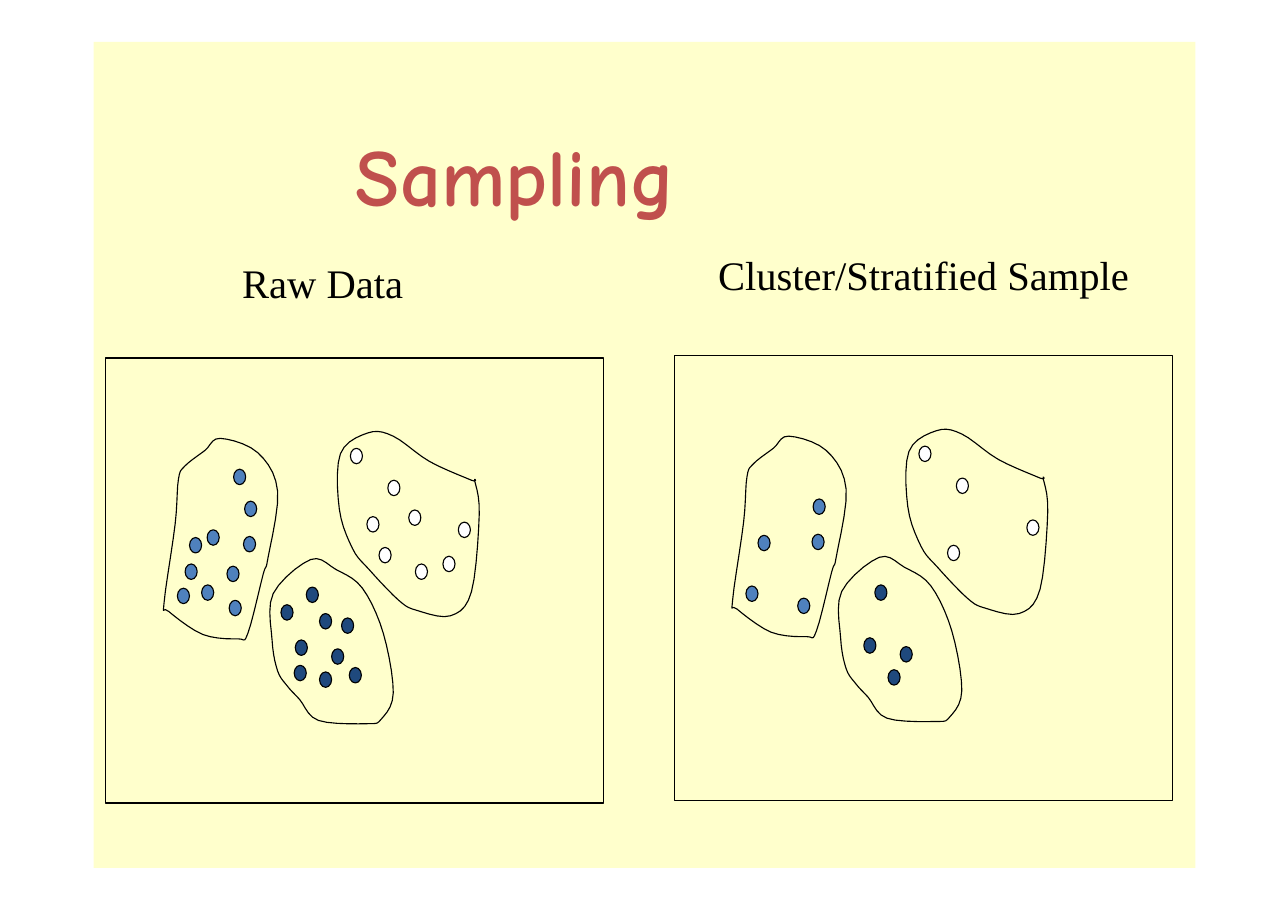
from pptx import Presentation
from pptx.dml.color import RGBColor
from pptx.enum.shapes import MSO_SHAPE
from pptx.enum.text import MSO_ANCHOR, MSO_AUTO_SIZE, PP_ALIGN
from pptx.util import Pt

RECTANGLE, DOT = MSO_SHAPE.RECTANGLE, MSO_SHAPE.FLOWCHART_CONNECTOR
TOP, LEFT = MSO_ANCHOR.TOP, PP_ALIGN.LEFT
NO_AUTOFIT = MSO_AUTO_SIZE.NONE

# Content: lengths in px, 100 px to the inch
PX = 9144
SLIDE_SIZE = (1169, 827)
BACKDROP = (85, 38, 1000, 750)
PANEL = (96, 325, 452, 404)
SAMPLE_SHIFT = (516, -2)
DOT_SIZE = (11, 14)
CURVE_STEPS = 5
COLORS = {"cream": "FFFFCC", "red": "C0504D", "black": "000000",
          "white": "FFFFFF", "navy": "1F497D", "blue": "4F81BD"}

TITLE = ("Sampling", (323, 114, 710, 89))
TITLE_FORMAT = {"name": "Comic Neue", "size": Pt(52.9), "bold": True}
LABELS = [("Raw Data", (210, 229, 177, 55)),
          ("Cluster/Stratified Sample", (642, 222, 397, 55))]
LABEL_FORMAT = {"name": "Times New Roman", "size": Pt(26.5), "bold": False}

# Each cluster: dots drawn into the sample, the other dots, and the points
# that its smooth closed outline passes through
CLUSTERS = [
    {"color": "white",
     "sampled": [(352, 436), (344, 497), (416, 474), (318, 407)],
     "others": [(371, 463), (333, 469), (402, 505), (377, 512)],
     "outline": [(431, 437), (435, 467), (428, 537), (409, 559), (378, 554), (362, 545),
                 (335, 517), (320, 498), (308, 462), (309, 412), (334, 393), (357, 396),
                 (390, 419), (428, 436)]},
    {"color": "navy",
     "sampled": [(290, 610), (301, 589), (268, 581), (278, 533)],
     "others": [(255, 549), (310, 561), (267, 604), (290, 557), (317, 606)],
     "outline": [(272, 635), (261, 623), (252, 609), (247, 581), (248, 539), (282, 508),
                 (305, 517), (329, 534), (348, 575), (357, 629), (346, 653), (333, 657),
                 (289, 654)]},
    {"color": "blue",
     "sampled": [(161, 534), (172, 488), (208, 545), (221, 487), (222, 455)],
     "others": [(183, 531), (168, 512), (206, 514), (188, 481), (212, 426)],
     "outline": [(239, 521), (225, 575), (216, 580), (184, 576), (153, 555), (149, 547),
                 (159, 476), (162, 435), (168, 423), (186, 409), (200, 398), (234, 411),
                 (252, 446), (243, 508)]},
]


def emu(lengths):
    return [round(length * PX) for length in lengths]


def rgb(color):
    return RGBColor.from_string(COLORS[color])


def paint(shape, fill=None, line="black"):
    shape.shadow.inherit = False
    if fill:
        shape.fill.solid()
        shape.fill.fore_color.rgb = rgb(fill)
    else:
        shape.fill.background()
    if line:
        shape.line.color.rgb = rgb(line)
        shape.line.width = Pt(0.75)
    else:
        shape.line.fill.background()


def write(box, text, font_format, color):
    para = box.text_frame.paragraphs[0]
    para.alignment = LEFT
    span = para.add_run()
    span.text = text
    for name, value in font_format.items():
        setattr(span.font, name, value)
    span.font.color.rgb = rgb(color)


def blend(before, start, end, after, t):
    """Position at t on the smooth curve from start to end."""
    return (start + t * (end - before) / 2
            + t ** 2 * (before - 2.5 * start + 2 * end - after / 2)
            + t ** 3 * (1.5 * (start - end) + (after - before) / 2))


def trace(outline, shift):
    """Closed smooth curve through the outline, moved by shift, in EMU."""
    moved = [(x + shift[0], y + shift[1]) for x, y in outline]
    points = []
    for i in range(len(moved)):
        near = [moved[(i + k) % len(moved)] for k in (-1, 0, 1, 2)]
        for step in range(CURVE_STEPS):
            points.append(emu(blend(*axis, step / CURVE_STEPS) for axis in zip(*near)))
    return points


def draw_panel(page, shift, sample_only):
    dx, dy = shift
    group = page.shapes.add_group_shape()
    left, top, width, height = PANEL
    paint(group.shapes.add_shape(RECTANGLE, *emu((left + dx, top + dy, width, height))))
    for cluster in CLUSTERS:
        dots = cluster["sampled"] + ([] if sample_only else cluster["others"])
        for x, y in dots:
            dot = group.shapes.add_shape(DOT, *emu((x + dx, y + dy, *DOT_SIZE)))
            paint(dot, cluster["color"])
        start, *points = trace(cluster["outline"], shift)
        builder = group.shapes.build_freeform(*start)
        builder.add_line_segments(points, close=True)
        paint(builder.convert_to_shape())


def main():
    deck = Presentation()
    deck.slide_width, deck.slide_height = emu(SLIDE_SIZE)
    page = deck.slides.add_slide(deck.slide_layouts[5])

    # Backdrop, placed behind the title
    title = page.shapes.title
    backdrop = page.shapes.add_shape(RECTANGLE, *emu(BACKDROP))
    paint(backdrop, "cream", line=None)
    backdrop._element.addnext(title._element)

    # Title
    text, place = TITLE
    title.left, title.top, title.width, title.height = emu(place)
    frame = title.text_frame
    for name in ("margin_left", "margin_top", "margin_right", "margin_bottom"):
        setattr(frame, name, 0)
    frame.vertical_anchor = TOP
    frame.auto_size = NO_AUTOFIT
    write(title, text, TITLE_FORMAT, "red")

    # Raw data and its sample
    draw_panel(page, (0, 0), sample_only=False)
    draw_panel(page, SAMPLE_SHIFT, sample_only=True)

    # Panel labels
    for text, place in LABELS:
        box = page.shapes.add_textbox(*emu(place))
        box.text_frame.word_wrap = False
        write(box, text, LABEL_FORMAT, "black")

    deck.save("out.pptx")


if __name__ == "__main__":
    main()
